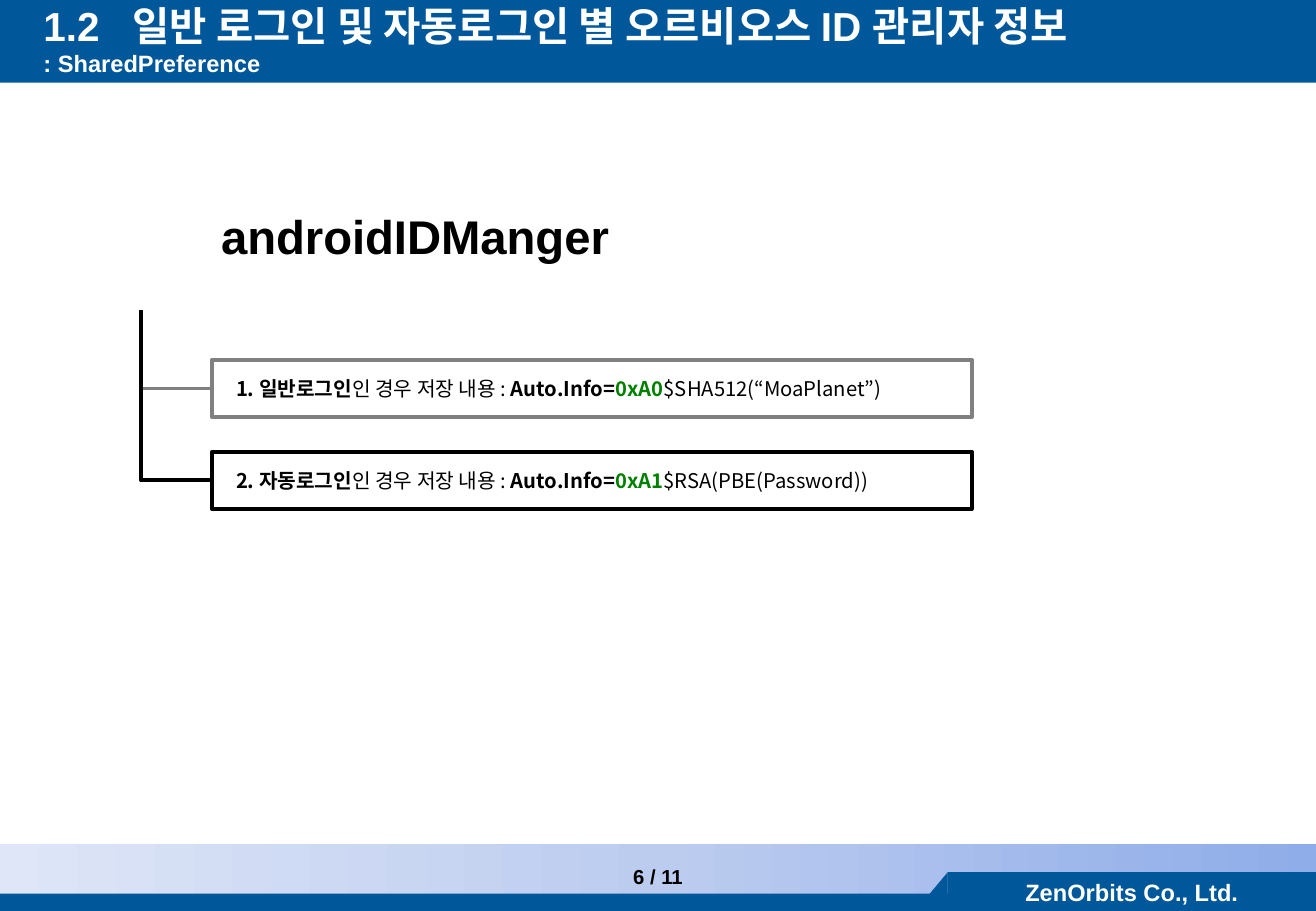
"""Build the slide on what the device ID manager stores for each login type."""
from copy import deepcopy
from dataclasses import dataclass

from pptx import Presentation
from pptx.dml.color import RGBColor
from pptx.enum.shapes import MSO_CONNECTOR, MSO_SHAPE
from pptx.enum.text import MSO_ANCHOR, MSO_AUTO_SIZE, PP_ALIGN
from pptx.oxml.ns import qn
from pptx.shapes.autoshape import Shape
from pptx.slide import Slide
from pptx.text.text import _Paragraph as Paragraph
from pptx.util import Pt

RECTANGLE = MSO_SHAPE.RECTANGLE
ELBOW = MSO_CONNECTOR.ELBOW
MIDDLE = MSO_ANCHOR.MIDDLE
CENTER, LEFT = PP_ALIGN.CENTER, PP_ALIGN.LEFT
NO_AUTOFIT = MSO_AUTO_SIZE.NONE

WHITE = RGBColor(0xFF, 0xFF, 0xFF)
BLACK = RGBColor(0x00, 0x00, 0x00)
GRAY = RGBColor(0x80, 0x80, 0x80)
GREEN = RGBColor(0x00, 0x80, 0x00)
NAVY = RGBColor(0x00, 0x58, 0x9A)
GRADIENT = (
    RGBColor(0xDE, 0xE6, 0xF7),
    RGBColor(0xBC, 0xCC, 0xEF),
    RGBColor(0x8F, 0xAD, 0xE9),
)

LATIN_FONT = "Arial"
KOREAN_FONT = "Noto Sans CJK KR"
SLIDE_WIDTH, SLIDE_HEIGHT = 780, 540
TRUNK_X, TRUNK_TOP = 83.5, 183.75
BOX_LEFT, BOX_WIDTH, BOX_HEIGHT = 125.5, 450.5, 34
FIRST_BOX_TOP, BOX_STEP = 213.25, 54.5


@dataclass(frozen=True)
class Area:
    """A rectangle in points."""
    left: float
    top: float
    width: float
    height: float

    def lengths(self) -> tuple[Pt, Pt, Pt, Pt]:
        """Give the position and size as lengths."""
        return Pt(self.left), Pt(self.top), Pt(self.width), Pt(self.height)


@dataclass(frozen=True)
class Login:
    """A login type with its stored value and branch style."""
    name: str
    code: str
    value: str
    color: RGBColor
    branch_width: float


HEADER = Area(0, 0, SLIDE_WIDTH, 49)
FOOTER = Area(0, 500.5, SLIDE_WIDTH, 39.5)
FOOTER_STRIPE = Area(0, 529.75, SLIDE_WIDTH, 10.25)
COMPANY_TAB = Area(561.75, 517, 218.25, 23)
LOGINS = (
    Login("1. 일반로그인", "0xA0", "$SHA512(“MoaPlanet”)", GRAY, 1.5),
    Login("2. 자동로그인", "0xA1", "$RSA(PBE(Password))", BLACK, 2.25),
)


def style(paragraph: Paragraph, size: float, color: RGBColor, align: PP_ALIGN = LEFT) -> None:
    """Format a bold paragraph in the Latin font."""
    paragraph.alignment = align
    font = paragraph.font
    font.name, font.size, font.bold = LATIN_FONT, Pt(size), True
    font.color.rgb = color


def add_box(slide: Slide, area: Area) -> Shape:
    """Add a plain rectangle without line or shadow."""
    box = slide.shapes.add_shape(RECTANGLE, *area.lengths())
    box.shadow.inherit = False
    box.line.fill.background()
    return box


def add_band(slide: Slide, area: Area) -> Shape:
    """Add a solid navy band."""
    band = add_box(slide, area)
    band.fill.solid()
    band.fill.fore_color.rgb = NAVY
    return band


def add_label(slide: Slide, area: Area, text: str, size: float, align: PP_ALIGN = LEFT) -> None:
    """Add a black single-line label."""
    frame = slide.shapes.add_textbox(*area.lengths()).text_frame
    frame.word_wrap = True
    frame.text = text
    style(frame.paragraphs[0], size, BLACK, align)


def add_frame(slide: Slide) -> None:
    """Add the header, the footer and the company tab."""
    footer = add_box(slide, FOOTER)
    footer.fill.gradient()
    footer.fill.gradient_angle = 0
    first_stop = footer.fill.gradient_stops[0]
    stop_list = footer.element.spPr.find(qn("a:gradFill")).find(qn("a:gsLst"))
    stop_list.insert(1, deepcopy(stop_list[0]))
    first_stop.position = 0
    for index, (stop, color) in enumerate(zip(footer.fill.gradient_stops, GRADIENT)):
        stop.position = index / 2
        stop.color.rgb = color

    add_band(slide, HEADER)
    add_band(slide, FOOTER_STRIPE)
    left, top, bottom = Pt(545), Pt(COMPANY_TAB.top), Pt(537)
    right = Pt(COMPANY_TAB.left)
    builder = slide.shapes.build_freeform(left, bottom)
    builder.add_line_segments([(right, bottom), (right, top)])
    slope = builder.convert_to_shape()
    slope.shadow.inherit = False
    slope.fill.solid()
    slope.fill.fore_color.rgb = NAVY
    slope.line.fill.background()

    frame = add_band(slide, COMPANY_TAB).text_frame
    frame.vertical_anchor = MIDDLE
    frame.text = "ZenOrbits Co., Ltd."
    style(frame.paragraphs[0], 14, WHITE, CENTER)


def add_title(slide: Slide) -> None:
    """Place the two-line title over the header."""
    title = slide.shapes.title
    title.left, title.top, title.width, title.height = Area(18.5, 3.5, 760, 39.5).lengths()
    title.element.getparent().append(title.element)
    frame = title.text_frame
    frame.auto_size = NO_AUTOFIT
    frame.word_wrap = True
    frame.vertical_anchor = MIDDLE
    paragraph = frame.paragraphs[0]
    properties = paragraph._p.get_or_add_pPr()
    tabs = properties.makeelement(qn("a:tabLst"), {})
    tabs.append(tabs.makeelement(qn("a:tab"), {"pos": str(Pt(52.75)), "algn": "l"}))
    properties.append(tabs)
    style(paragraph, 24, WHITE)
    heading = paragraph.add_run()
    heading.text = "1.2\t일반 로그인 및 자동로그인 별 오르비오스 ID 관리자 정보"
    paragraph.add_line_break()
    subtitle = paragraph.add_run()
    subtitle.text = ": SharedPreference"
    subtitle.font.size = Pt(14)


def add_login(slide: Slide, login: Login, top: float) -> None:
    """Add the box of a login type and its branch from the trunk."""
    box = add_box(slide, Area(BOX_LEFT, top, BOX_WIDTH, BOX_HEIGHT))
    box.fill.background()
    box.line.color.rgb = login.color
    box.line.width = Pt(2.25)
    frame = box.text_frame
    frame.word_wrap = False
    frame.vertical_anchor = MIDDLE
    frame.margin_left = Pt(14.4)
    paragraph = frame.paragraphs[0]
    paragraph.alignment = LEFT
    paragraph.font.size = Pt(12)
    for text, bold, color in (
        (login.name, True, BLACK),
        ("인 경우 저장 내용 : ", False, BLACK),
        ("Auto.Info=", True, BLACK),
        (login.code, True, GREEN),
        (login.value, False, BLACK),
    ):
        run = paragraph.add_run()
        run.text = text
        run.font.name, run.font.bold = KOREAN_FONT, bold
        run.font.color.rgb = color
        properties = run.font._element
        properties.append(properties.makeelement(qn("a:ea"), {"typeface": KOREAN_FONT}))

    drop = top + BOX_HEIGHT / 2 - TRUNK_TOP
    reach = BOX_LEFT - TRUNK_X
    center_x, center_y = TRUNK_X + reach / 2, TRUNK_TOP + drop / 2
    branch = slide.shapes.add_connector(
        ELBOW,
        Pt(center_x + drop / 2), Pt(center_y - reach / 2),
        Pt(center_x - drop / 2), Pt(center_y + reach / 2),
    )
    branch.line.color.rgb = login.color
    branch.line.width = Pt(login.branch_width)
    properties = branch.element.spPr
    properties.find(qn("a:xfrm")).set("rot", str(270 * 60000))
    properties.find(qn("a:prstGeom")).set("prst", "bentConnector2")
    properties.append(properties.makeelement(qn("a:effectLst"), {}))


def main() -> None:
    """Build and save the presentation."""
    presentation = Presentation()
    presentation.slide_width, presentation.slide_height = Pt(SLIDE_WIDTH), Pt(SLIDE_HEIGHT)
    slide = presentation.slides.add_slide(presentation.slide_layouts[5])
    add_frame(slide)
    add_title(slide)
    add_label(slide, Area(124, 119.5, 247, 41), "androidIDManger", 28)
    for index, login in enumerate(LOGINS):
        add_login(slide, login, FIRST_BOX_TOP + index * BOX_STEP)
    add_label(slide, Area(0, 509, SLIDE_WIDTH, 24), "6 / 11", 12, CENTER)
    presentation.save("out.pptx")


if __name__ == "__main__":
    main()
